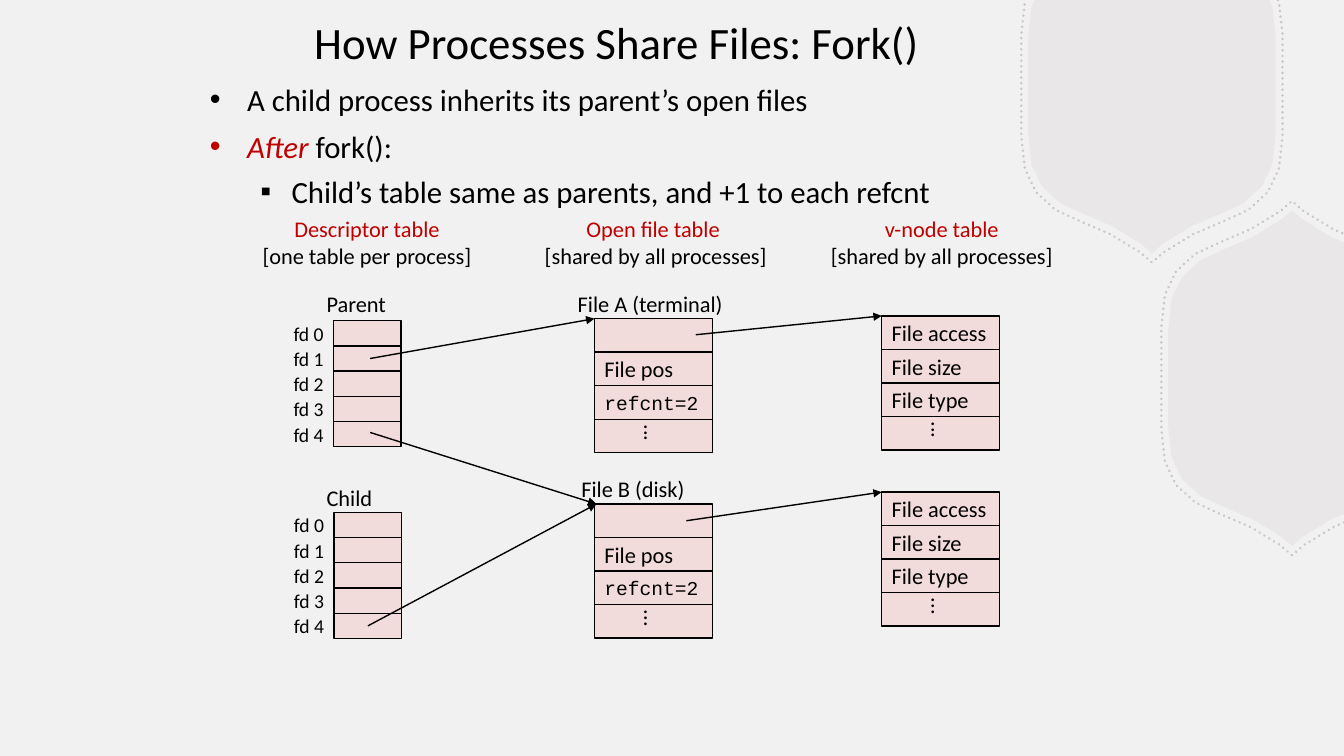
import lxml.etree
import pptx
import pptx.dml.color
import pptx.enum.dml
import pptx.enum.shapes
import pptx.enum.text
import pptx.oxml.ns
import pptx.util

Cm = pptx.util.Cm
Align = pptx.enum.text.PP_ALIGN


class Theme:
    background, ink, accent = "F2F1F1", "000000", "C00000"
    cell, badge = "F2DCDB", "B8B2B2"
    font, code_font = "Calibri", "Courier New"
    title_size, body_size, label_size, small_size = 32, 22, 16, 14
    line, dots = 1, 2


# All lengths below are centimetres.
SLIDE_W, SLIDE_H = 33.87, 19.05
TITLE = "How Processes Share Files: Fork()"
# level, bullet, bullet colour, left margin, hanging, space before, (text, emphasised) runs
POINTS = [
    (0, "•", Theme.ink, 0.94, 0.94, 0, [("A child process inherits its parent’s open files", False)]),
    (0, "•", Theme.accent, 0.94, 0.94, 7, [("After", True), (" fork():", False)]),
    (1, "▪", Theme.ink, 2.06, 0.79, 6,
     [("Child’s table same as parents, and +1 to each refcnt", False)]),
]
HEADINGS = [  # left, width, name, scope
    (6.33, 5.84, "Descriptor table", "[one table per process]"),
    (13.44, 6.17, "Open file table ", "[shared by all processes]"),
    (20.65, 6.17, "v-node table", "[shared by all processes]"),
]
CAPTIONS = [  # left, top, width, text
    (7.98, 7.19, 2.03, "Parent"),
    (7.98, 12.07, 1.65, "Child"),
    (14.31, 7.19, 4.19, "File A (terminal)"),
    (14.4, 11.84, 3.12, "File B (disk)"),
]
DESCRIPTORS = ["fd 0", "fd 1", "fd 2", "fd 3", "fd 4"]
OPEN_FILE = ["", "File pos", "refcnt=2", "..."]
V_NODE = ["File access", "File size", "File type", "..."]
FD_TABLE, RECORD = (1.7, 3.18), (2.97, 3.38)
TABLES = {  # left, top, size, rows
    "parent": (8.41, 8.08, FD_TABLE, DESCRIPTORS),
    "child": (8.42, 12.91, FD_TABLE, DESCRIPTORS),
    "file A": (14.98, 8.03, RECORD, OPEN_FILE),
    "file B": (14.98, 12.7, RECORD, OPEN_FILE),
    "v-node A": (22.22, 7.96, RECORD, V_NODE),
    "v-node B": (22.22, 12.4, RECORD, V_NODE),
}
POINTERS = [  # from table, rows down, share of the width, to table, shift of the tip
    ("parent", 1.5, 0.54, "file A", 0),
    ("parent", 4.43, 0.54, "file B", 0.05),
    ("child", 4.5, 0.5, "file B", 0.05),
    ("file A", 0.48, 0.86, "v-node A", 0),
    ("file B", 0.5, 0.78, "v-node B", 0),
]
# Badge: a quarter outline from bottom tip to right side, mirrored twice.
BADGE_TIP = (0, 4.23)
BADGE_CURVES = [
    ((0.28, 3.99), (0.97, 3.45), (1.73, 3.3), (2.31, 2.97)),
    ((2.31, 2.97), (2.87, 2.59), (3.12, 2.13), (3.12, 1.22)),
]
BADGES = [(29.03, 2.15, 3), (32.56, 9.53, 0)]  # centre, first quarter
DOTTED_SCALE, CURVE_STEPS = 1.055, 3

prs = pptx.Presentation()
prs.slide_width, prs.slide_height = Cm(SLIDE_W), Cm(SLIDE_H)
slide = prs.slides.add_slide(prs.slide_layouts[6])
shapes = slide.shapes


def rgb(code):
    return pptx.dml.color.RGBColor.from_string(code)


def child(parent, tag, **attributes):
    return lxml.etree.SubElement(parent, pptx.oxml.ns.qn(tag), attributes)


def paint(fill, code, opacity=None):
    fill.solid()
    fill.fore_color.rgb = rgb(code)
    if opacity:
        color = fill._xPr.find(".//" + pptx.oxml.ns.qn("a:srgbClr"))
        child(color, "a:alpha", val=str(opacity * 1000))


def style(font, size, color=Theme.ink, name=Theme.font):
    font.size, font.name = pptx.util.Pt(size), name
    font.color.rgb = rgb(color)


def write(shape, lines, wrap=False, align=Align.LEFT):
    """Put (text, size, colour, font) lines in a shape."""
    frame = shape.text_frame
    frame.word_wrap = wrap
    frame.vertical_anchor = pptx.enum.text.MSO_ANCHOR.MIDDLE
    frame.margin_left = frame.margin_right = Cm(0.25)
    frame.margin_top = frame.margin_bottom = Cm(0.13)
    for i, (text, *look) in enumerate(lines):
        paragraph = frame.add_paragraph() if i else frame.paragraphs[0]
        paragraph.text, paragraph.alignment = text, align
        style(paragraph.font, *look)


def text_box(x, y, w, h):
    return shapes.add_textbox(Cm(x), Cm(y), Cm(w), Cm(h))


def bezier(a, b, c, d):
    """Points along a curve, without its first one."""
    for step in range(1, CURVE_STEPS + 1):
        t = step / CURVE_STEPS
        weights = ((1 - t) ** 3, 3 * t * (1 - t) ** 2, 3 * t * t * (1 - t), t ** 3)
        yield tuple(sum(k * p[i] for k, p in zip(weights, (a, b, c, d))) for i in (0, 1))


def badge_ring(cx, cy, first, scale):
    """Points clockwise round a badge, from the given quarter (0 is lower right)."""
    quarter = [BADGE_TIP, BADGE_CURVES[0][0], *(p for c in BADGE_CURVES for p in bezier(*c))]
    signs = [(1, 1), (-1, 1), (-1, -1), (1, -1)]
    ring = []
    for n in range(4):
        index = (first + n) % 4
        sx, sy = signs[index]
        for x, y in quarter if index % 2 else quarter[::-1]:
            point = (cx + sx * x * scale, cy + sy * y * scale)
            if point not in ring:
                ring.append(point)
    return ring + ring[:1]


def clip(points, depth):
    """Keep the part of a path where depth(point) is not negative."""
    kept = [p for p in points[:1] if depth(p) >= 0]
    for a, b in zip(points, points[1:]):
        da, db = depth(a), depth(b)
        if (da < 0) != (db < 0):
            t = da / (da - db)
            kept.append((a[0] + t * (b[0] - a[0]), a[1] + t * (b[1] - a[1])))
        if db >= 0:
            kept.append(b)
    return kept


def badge_outline(cx, cy, first, scale, close):
    ring = clip(badge_ring(cx, cy, first, scale), lambda p: SLIDE_W - p[0])
    start, *rest = [(Cm(x), Cm(y)) for x, y in clip(ring, lambda p: p[1])]
    builder = shapes.build_freeform(*start, scale=1.0)
    builder.add_line_segments(rest, close=close)
    shape = builder.convert_to_shape()
    shape.shadow.inherit = False
    return shape


def draw_badge(*place):
    plate = badge_outline(*place, 1, True)
    paint(plate.fill, Theme.badge, 15)
    plate.line.fill.background()
    rim = badge_outline(*place, DOTTED_SCALE, False)
    rim.fill.background()
    paint(rim.line.fill, Theme.badge, 65)
    rim.line.width = pptx.util.Pt(Theme.dots)
    rim.line.dash_style = pptx.enum.dml.MSO_LINE.ROUND_DOT
    rim.line._get_or_add_ln().set("cap", "rnd")


def draw_points():
    frame = text_box(5.04, 1.91, 23.09, 3.61).text_frame
    frame.word_wrap = True
    for i, (level, bullet, color, margin, hanging, before, runs) in enumerate(POINTS):
        paragraph = frame.add_paragraph() if i else frame.paragraphs[0]
        paragraph.level = level
        if before:
            paragraph.space_before = pptx.util.Pt(before)
        properties = paragraph._p.get_or_add_pPr()
        properties.set("marL", str(Cm(margin)))
        properties.set("indent", str(-Cm(hanging)))
        child(child(properties, "a:buClr"), "a:srgbClr", val=color)
        child(properties, "a:buFont", typeface="Arial")
        child(properties, "a:buChar", char=bullet)
        style(paragraph.font, Theme.body_size)
        for text, emphasised in runs:
            run = paragraph.add_run()
            run.text = text
            if emphasised:
                run.font.italic = True
                run.font.color.rgb = rgb(Theme.accent)


def draw_table(left, top, size, rows):
    width, height = size[0], size[1] / len(rows)
    for i, text in enumerate(rows):
        y = top + i * height
        cell = shapes.add_shape(pptx.enum.shapes.MSO_SHAPE.RECTANGLE,
                                Cm(left), Cm(y), Cm(width), Cm(height))
        cell.shadow.inherit = False
        paint(cell.fill, Theme.cell)
        paint(cell.line.fill, Theme.ink)
        cell.line.width = pptx.util.Pt(Theme.line)
        if rows is DESCRIPTORS:
            write(text_box(left - width, y, width, height),
                  [(text, Theme.small_size)], align=Align.RIGHT)
        elif text.startswith("refcnt"):
            write(cell, [(text, Theme.small_size, Theme.ink, Theme.code_font)])
        elif text:
            write(cell, [(text, Theme.label_size)])
        if text == "...":
            cell.text_frame._txBody.bodyPr.set("vert", "eaVert")


def draw_pointer(source, rows_down, share, target, shift):
    left, top, (width, height), rows = TABLES[source]
    tip_x, tip_y = TABLES[target][:2]
    arrow = shapes.add_connector(pptx.enum.shapes.MSO_CONNECTOR.STRAIGHT, Cm(left + share * width),
                                 Cm(top + rows_down * height / len(rows)),
                                 Cm(tip_x + shift), Cm(tip_y))
    paint(arrow.line.fill, Theme.ink)
    arrow.line.width = pptx.util.Pt(Theme.line)
    child(arrow.line._get_or_add_ln(), "a:tailEnd", type="triangle")
    child(arrow._element.spPr, "a:effectLst")


paint(slide.background.fill, Theme.background)
for badge in BADGES:
    draw_badge(*badge)
write(text_box(5, 0, 21.08, 2.11), [(TITLE, Theme.title_size)], wrap=True, align=Align.CENTER)
draw_points()
for left, width, name, scope in HEADINGS:
    write(text_box(left, 5.28, width, 1.63),
          [(name, Theme.label_size, Theme.accent), (scope, Theme.label_size)], align=Align.CENTER)
for table in TABLES.values():
    draw_table(*table)
for left, top, width, caption in CAPTIONS:
    write(text_box(left, top, width, 0.94), [(caption, Theme.label_size)])
for pointer in POINTERS:
    draw_pointer(*pointer)
prs.save("out.pptx")
